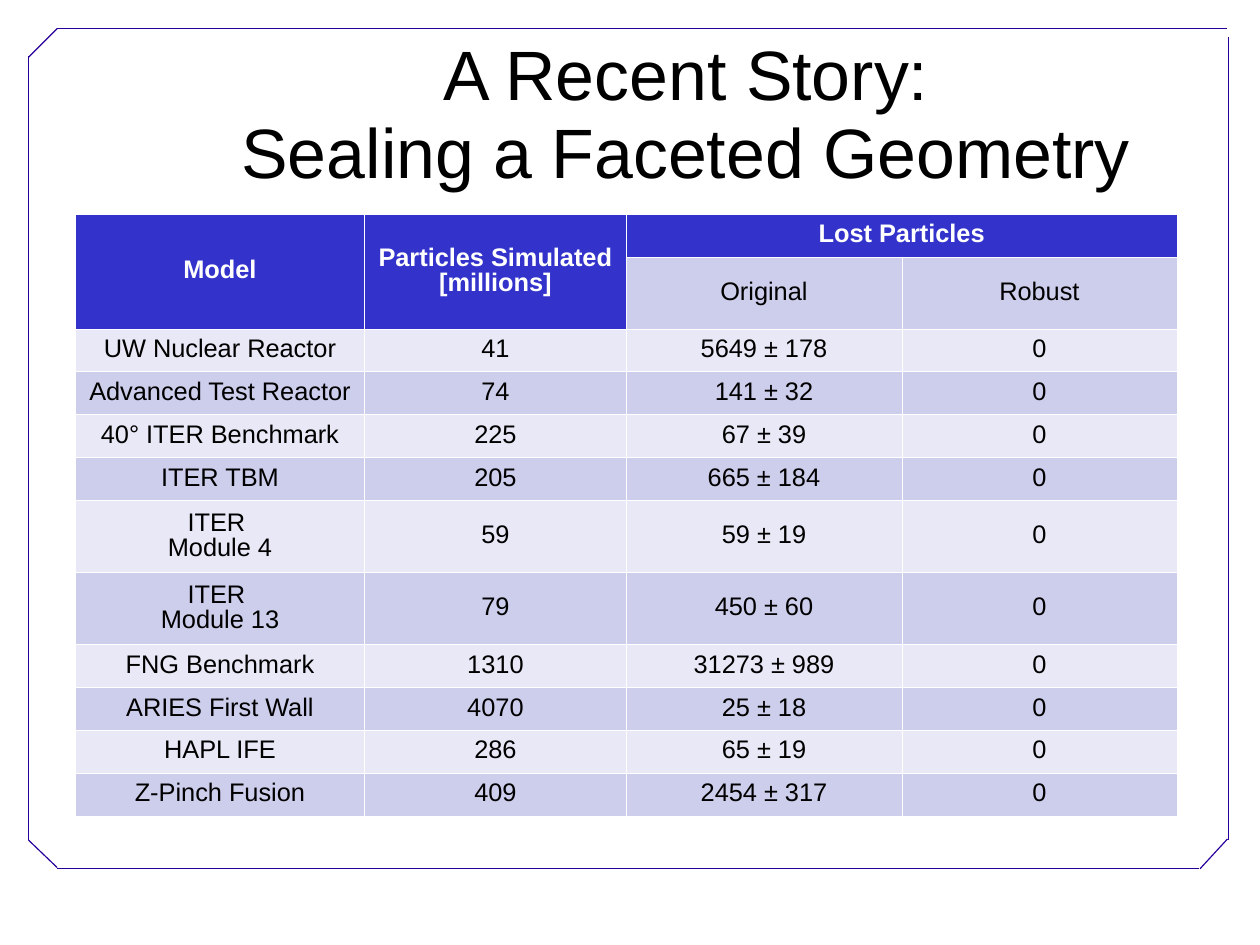
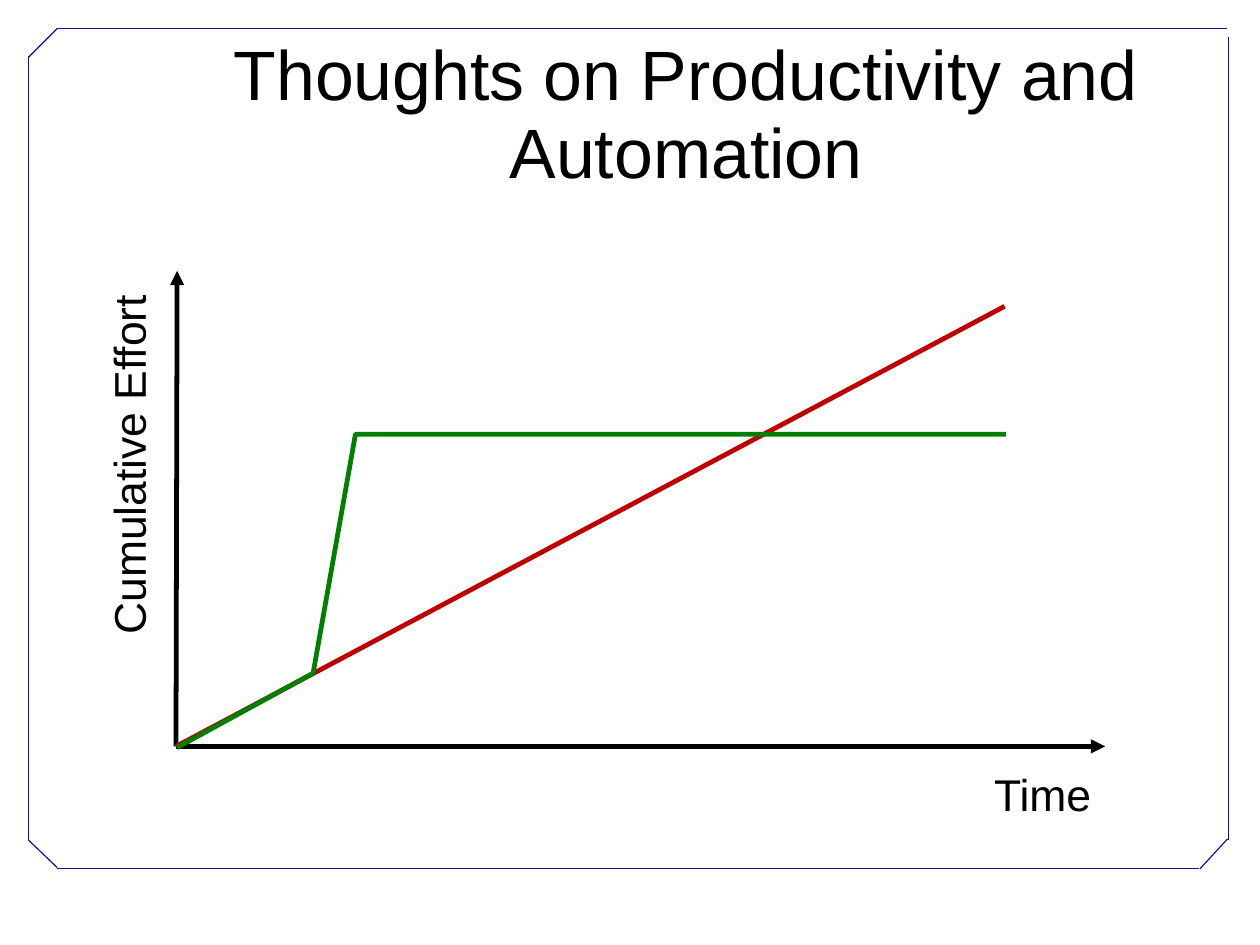
from lxml import etree
from pptx import Presentation
from pptx.dml.color import RGBColor
from pptx.enum.shapes import MSO_CONNECTOR
from pptx.enum.text import MSO_ANCHOR, MSO_AUTO_SIZE, PP_ALIGN
from pptx.oxml.ns import qn
from pptx.util import Emu, Inches, Pt

STRAIGHT = MSO_CONNECTOR.STRAIGHT
MIDDLE = MSO_ANCHOR.MIDDLE
FIT_SHAPE, NO_FIT = MSO_AUTO_SIZE.SHAPE_TO_FIT_TEXT, MSO_AUTO_SIZE.NONE
LEFT, CENTER = PP_ALIGN.LEFT, PP_ALIGN.CENTER

SLIDE_WIDTH = Emu(10080625)
SLIDE_HEIGHT = Emu(7559675)

BLACK = RGBColor(0x00, 0x00, 0x00)
WHITE = RGBColor(0xFF, 0xFF, 0xFF)
FRAME = RGBColor(0x28, 0x00, 0x99)
HEADER = RGBColor(0x33, 0x33, 0xCC)
BANDS = (RGBColor(0xE8, 0xE8, 0xF6), RGBColor(0xCD, 0xCD, 0xEC))
RED = RGBColor(0xC0, 0x00, 0x00)
GREEN = RGBColor(0x00, 0x80, 0x00)
FONT = "Arial"

FRAME_LINES = [
    ((0.5, 7.6), (10.49, 7.6)),
    ((0.25, 7.35), (0.25, 0.49)),
    ((0.5, 0.25), (10.74, 0.25)),
    ((10.75, 7.35), (10.75, 0.32)),
    ((0.25, 0.5), (0.5, 0.25)),
    ((10.5, 7.6), (10.74, 7.34)),
    ((0.25, 7.35), (0.5, 7.59)),
]
TITLE_BOX = (1.54, 0.33, 8.93, 1.38)

TABLE_TITLE = "A Recent Story:\nSealing a Faceted Geometry"
TABLE_ROWS = [
    ("Model", "Particles Simulated [millions]", "Lost Particles", ""),
    ("", "", "Original", "Robust"),
    ("UW Nuclear Reactor", "41", "5649 ± 178", "0"),
    ("Advanced Test Reactor", "74", "141 ± 32", "0"),
    ("40° ITER Benchmark", "225", "67 ± 39", "0"),
    ("ITER TBM", "205", "665 ± 184", "0"),
    ("ITER \nModule 4", "59", "59 ± 19", "0"),
    ("ITER \nModule 13", "79", "450 ± 60", "0"),
    ("FNG Benchmark", "1310", "31273 ± 989", "0"),
    ("ARIES First Wall", "4070", "25 ± 18", "0"),
    ("HAPL IFE", "286", "65 ± 19", "0"),
    ("Z-Pinch Fusion", "409", "2454 ± 317", "0"),
]
MERGES = [((0, 0), (1, 0)), ((0, 1), (1, 1)), ((0, 2), (0, 3))]
TABLE_BOX = (0.66, 1.87, 9.64, 5.27)
COLUMN_WIDTHS = (2.53, 2.29, 2.41, 2.41)
TALL_ROWS = (1, 6, 7)
TALL_HEIGHT = 0.63

GRAPH_TITLE = "Thoughts on Productivity and Automation"
ORIGIN = (1.54, 6.53)
AXIS_ENDS = [(1.55, 2.37), (9.67, 6.53)]
MANUAL_END = (8.79, 2.68)
AUTOMATED_POINTS = [(1.55, 6.54), (2.74, 5.89), (3.11, 3.8), (8.8, 3.8)]
AXIS_LABELS = [
    ("Time", (8.6, 6.7, 1.06, 0.54), 0),
    ("Cumulative Effort", (-0.44, 3.79, 3.18, 0.54), 270),
]


def inches(values):
    return [Inches(value) for value in values]


def write(text_frame, text, size, color=BLACK, bold=False, alignment=LEFT, spacing=0.93):
    paragraph = text_frame.paragraphs[0]
    paragraph.text = text
    paragraph.alignment = alignment
    paragraph.line_spacing = spacing
    for run in paragraph.runs:
        run.font.name = FONT
        run.font.size = Pt(size)
        run.font.bold = bold
        run.font.color.rgb = color


def add_line(slide, start, end, color, width, arrow=False):
    connector = slide.shapes.add_connector(STRAIGHT, *inches(start + end))
    connector.line.color.rgb = color
    connector.line.width = Pt(width)
    properties = connector.element.spPr
    if arrow:
        etree.SubElement(properties.find(qn("a:ln")), qn("a:tailEnd"), type="triangle")
    etree.SubElement(properties, qn("a:effectLst"))
    return connector


def add_slide(presentation, layout, title):
    slide = presentation.slides.add_slide(layout)
    write(slide.shapes.title.text_frame, title, 44, alignment=CENTER)
    return slide


def format_layout(layout, slide):
    title = layout.placeholders[0]
    title.left, title.top, title.width, title.height = inches(TITLE_BOX)
    frame = title.text_frame
    frame.margin_left = frame.margin_right = Inches(0.11)
    frame.margin_top = frame.margin_bottom = Inches(0.06)
    frame.vertical_anchor = MIDDLE
    frame.auto_size = NO_FIT
    for start, end in FRAME_LINES:
        connector = add_line(slide, start, end, FRAME, 0.75)
        layout.shapes.element.append(connector.element)


def add_borders(cell):
    properties = cell._tc.get_or_add_tcPr()
    for position, side in enumerate(("lnL", "lnR", "lnT", "lnB")):
        border = etree.Element(qn(f"a:{side}"), w=str(Pt(0.11)))
        fill = etree.SubElement(border, qn("a:solidFill"))
        etree.SubElement(fill, qn("a:srgbClr"), val=str(WHITE))
        properties.insert(position, border)


def add_results_table(slide):
    row_count = len(TABLE_ROWS)
    frame = slide.shapes.add_table(row_count, len(COLUMN_WIDTHS), *inches(TABLE_BOX))
    table = frame.table
    table.first_row = table.horz_banding = False
    for column, width in zip(table.columns, COLUMN_WIDTHS):
        column.width = Inches(width)
    tall_total = TALL_HEIGHT * len(TALL_ROWS)
    short_height = (TABLE_BOX[3] - tall_total) / (row_count - len(TALL_ROWS))
    for first, last in MERGES:
        table.cell(*first).merge(table.cell(*last))
    for row_index, texts in enumerate(TABLE_ROWS):
        height = TALL_HEIGHT if row_index in TALL_ROWS else short_height
        table.rows[row_index].height = Inches(height)
        for column_index, text in enumerate(texts):
            cell = table.cell(row_index, column_index)
            is_header = row_index == 0 or (row_index == 1 and column_index < 2)
            cell.fill.solid()
            cell.fill.fore_color.rgb = HEADER if is_header else BANDS[row_index % 2]
            cell.vertical_anchor = MIDDLE
            add_borders(cell)
            if text:
                write(cell.text_frame, text, 16, color=WHITE if is_header else BLACK,
                      bold=is_header, alignment=CENTER, spacing=0.89)


def add_effort_graph(slide):
    for end in AXIS_ENDS:
        add_line(slide, ORIGIN, end, BLACK, 3, arrow=True)
    for text, box, rotation in AXIS_LABELS:
        label = slide.shapes.add_textbox(*inches(box))
        label.rotation = rotation
        label.text_frame.word_wrap = False
        label.text_frame.auto_size = FIT_SHAPE
        write(label.text_frame, text, 28)
    add_line(slide, ORIGIN, MANUAL_END, RED, 3)
    start, *others = [inches(point) for point in AUTOMATED_POINTS]
    builder = slide.shapes.build_freeform(*start)
    builder.add_line_segments(others, close=False)
    automated = builder.convert_to_shape()
    automated.shadow.inherit = False
    automated.fill.background()
    automated.line.color.rgb = GREEN
    automated.line.width = Pt(3)


def main():
    presentation = Presentation()
    presentation.slide_width = SLIDE_WIDTH
    presentation.slide_height = SLIDE_HEIGHT
    layout = presentation.slide_layouts[5]
    table_slide = add_slide(presentation, layout, TABLE_TITLE)
    format_layout(layout, table_slide)
    add_results_table(table_slide)
    add_effort_graph(add_slide(presentation, layout, GRAPH_TITLE))
    presentation.save("out.pptx")


if __name__ == "__main__":
    main()
